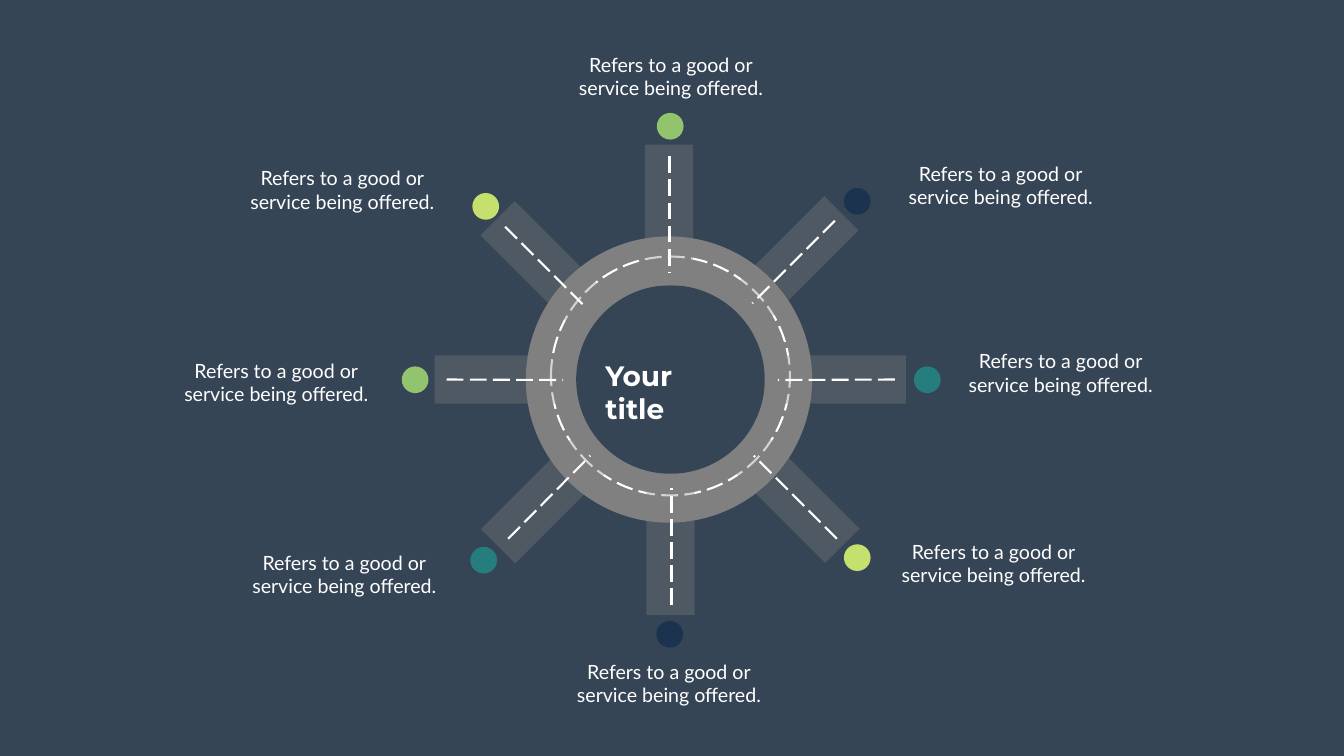
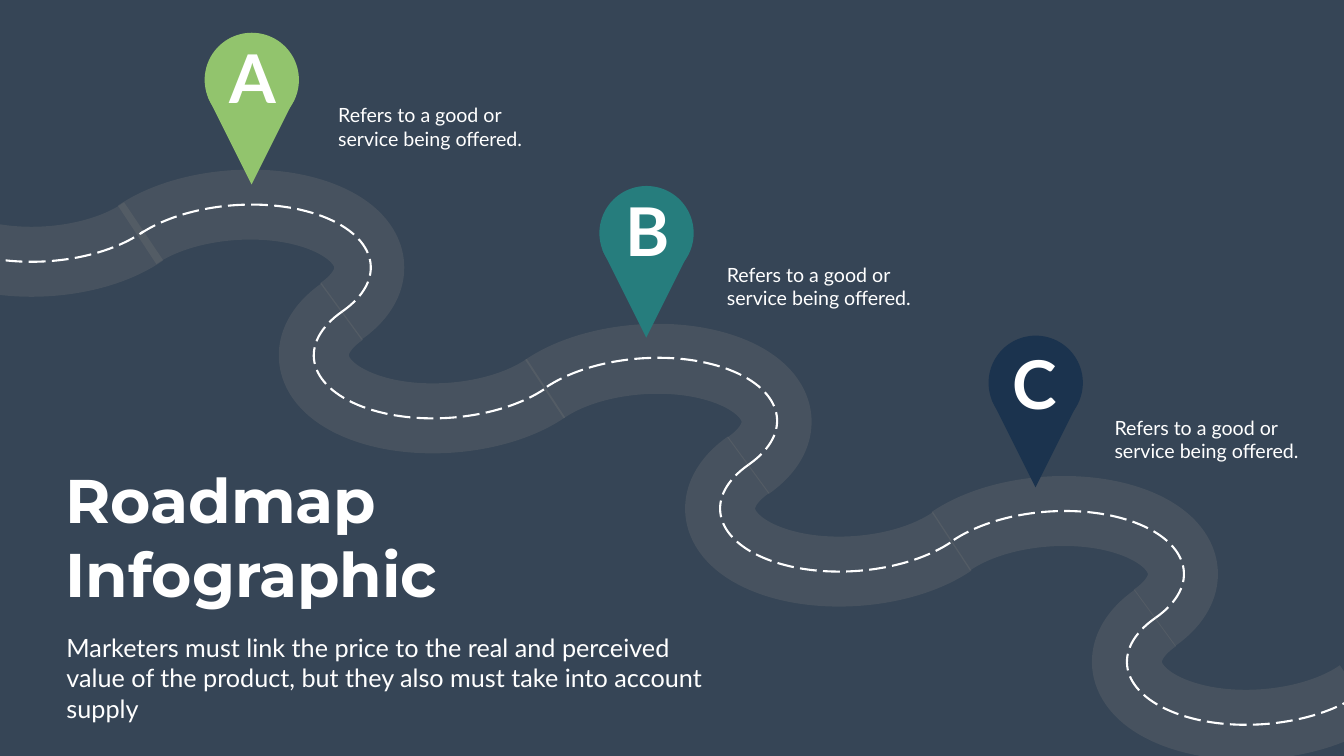
"""Build two road-themed infographic slides: a roundabout and a winding roadmap."""
from math import cos, radians, sin

from lxml import etree
from pptx import Presentation
from pptx.dml.color import RGBColor
from pptx.enum.dml import MSO_LINE
from pptx.enum.shapes import MSO_CONNECTOR, MSO_SHAPE
from pptx.enum.text import MSO_ANCHOR, MSO_AUTO_SIZE, PP_ALIGN
from pptx.oxml.ns import qn
from pptx.util import Inches, Pt

OVAL = MSO_SHAPE.OVAL
STRAIGHT = MSO_CONNECTOR.STRAIGHT
LONG_DASH = MSO_LINE.LONG_DASH
LEFT, CENTER = PP_ALIGN.LEFT, PP_ALIGN.CENTER
TOP = MSO_ANCHOR.TOP
FIT_SHAPE, NO_FIT = MSO_AUTO_SIZE.SHAPE_TO_FIT_TEXT, MSO_AUTO_SIZE.NONE

SLATE = RGBColor(0x36, 0x45, 0x56)
ASPHALT = RGBColor(0x80, 0x80, 0x80)
ROAD_GREY = RGBColor(0x79, 0x79, 0x79)
WHITE = RGBColor(0xFF, 0xFF, 0xFF)
GREEN = RGBColor(0x92, 0xC4, 0x6D)
NAVY = RGBColor(0x1B, 0x33, 0x4E)
TEAL = RGBColor(0x26, 0x7D, 0x7D)
LIME = RGBColor(0xC6, 0xE0, 0x6E)

TITLE_FONT = {"name": "Montserrat", "bold": True}
BODY_FONT = {"name": "Lato", "bold": False}
LETTER_FONT = {"name": "Lato", "bold": True}
LANE = {"width": Pt(3), "dash_style": LONG_DASH}
ROAD = {"width": Pt(100)}
CAPTION = ["Refers to a good or", "service being offered."]

BAR_LENGTH, BAR_WIDTH = 2.8, 0.96
DOT = 0.53
SPOKES = [
    ((13.27, 4.27), (13.28, 3.1, 13.28, 5.41), (13.03, 2.24), GREEN, (11.21, 1)),
    ((15.7, 5.22), (16.56, 4.38, 14.92, 6.02), (16.74, 3.73), NAVY, (17.75, 3.16)),
    ((16.57, 7.53), (17.75, 7.53, 15.43, 7.54), (18.13, 7.27), TEAL, (18.94, 6.88)),
    ((15.72, 9.84), (16.6, 10.69, 14.95, 9.04), (16.74, 10.8), LIME, (17.61, 10.66)),
    ((13.3, 10.8), (13.32, 12.01, 13.32, 9.68), (13.02, 12.32), NAVY, (11.17, 13.04)),
    ((10.87, 9.85), (10.08, 10.69, 11.71, 9.04), (9.33, 10.85), TEAL, (4.73, 10.88)),
    ((10.02, 7.53), (8.86, 7.53, 11.17, 7.54), (7.97, 7.27), GREEN, (3.38, 7.07)),
    ((10.86, 5.32), (10.02, 4.5, 11.59, 6.07), (9.37, 3.83), LIME, (4.69, 3.25)),
]

BEND = [(0, 0), (0.89, -0.62), (0.71, -1.47), (-0.4, -1.89),
        (-1.51, -2.31), (-3.14, -2.14), (-4.04, -1.52)]
LEAD_IN = [(-0.78, 4.96), (0.33, 5.38), (1.96, 5.22), (2.85, 4.59)]
JOINTS = [(6.79, 6.18), (14.85, 9.22), (22.92, 12.26)]
ROAD_CRESTS = [(6.76, 6.18), (14.84, 9.24), (22.9, 12.26)]
PINS = [
    ("A", (4.06, 0.65), GREEN, (4.46, 0.68, 1.14), (6.61, 2)),
    ("B", (11.89, 3.69), TEAL, (12.31, 3.7, 1.09), (14.32, 5.16)),
    ("C", (19.61, 6.66), NAVY, (19.99, 6.75, 1.09), (22.01, 8.2)),
]


def set_values(target, values):
    """Set each named attribute on the target."""
    for name, value in values.items():
        setattr(target, name, value)


def inches(values):
    """Convert a sequence of numbers to lengths."""
    return [Inches(value) for value in values]


class Deck:
    """Holds the shared style, the presentation and the current slide."""

    def __init__(self):
        """Start an empty wide presentation."""
        self.deck = Presentation()
        set_values(self.deck, {"slide_width": Inches(26.66), "slide_height": Inches(15)})

    def slide(self):
        """Add a slide with the slate background."""
        self.page = self.deck.slides.add_slide(self.deck.slide_layouts[5])
        self.paint(self.page.background.fill, SLATE)

    def paint(self, fill, color):
        """Give a fill one colour."""
        fill.solid()
        fill.fore_color.rgb = color

    def fade(self, shape, opacity):
        """Make the colours of a shape see-through."""
        for tint in shape.element.iter(qn("a:srgbClr")):
            etree.SubElement(tint, qn("a:alpha"), val=str(opacity * 1000))

    def filled(self, shape, color):
        """Fill a shape and leave off its outline and shadow."""
        shape.shadow.inherit = False
        self.paint(shape.fill, color)
        shape.line.fill.background()

    def outlined(self, shape, color, style):
        """Outline a shape and leave it hollow."""
        shape.shadow.inherit = False
        shape.fill.background()
        self.paint(shape.line.fill, color)
        set_values(shape.line, style)

    def circle(self, left, top, size):
        """Add a circle from its corner and diameter."""
        return self.page.shapes.add_shape(OVAL, *inches((left, top, size, size)))

    def outline(self, shapes, points, close):
        """Add a freeform through the points."""
        start, *rest = [inches(point) for point in points]
        builder = shapes.build_freeform(*start)
        builder.add_line_segments(rest, close=close)
        return builder.convert_to_shape()

    def polygon(self, points, color, opacity=100):
        """Add a filled polygon."""
        shape = self.outline(self.page.shapes, points, True)
        self.filled(shape, color)
        self.fade(shape, opacity)

    def curve(self, shapes, points):
        """Add an open curve; every three points after the first make one arc."""
        shape = self.outline(shapes, points, False)
        segments = list(shape.element.iter(qn("a:lnTo")))
        for arc, *others in zip(segments[::3], segments[1::3], segments[2::3]):
            arc.tag = qn("a:cubicBezTo")
            for other in others:
                arc.append(other[0])
                other.getparent().remove(other)
        return shape

    def road(self, crests, color, style, opacity=100):
        """Add a group of bends that form one winding line."""
        group = self.page.shapes.add_group_shape()
        bends = [LEAD_IN]
        for joints, sign in ((crests, 1), (JOINTS, -1)):
            bends += [[(x + sign * dx, y + sign * dy) for dx, dy in BEND]
                      for x, y in joints]
        for bend in bends:
            shape = self.curve(group.shapes, bend)
            self.outlined(shape, color, style)
            self.fade(shape, opacity)

    def lane(self, ends):
        """Add a straight dashed lane mark."""
        mark = self.page.shapes.add_connector(STRAIGHT, *inches(ends))
        self.paint(mark.line.fill, WHITE)
        set_values(mark.line, LANE)
        etree.SubElement(mark.element.spPr, qn("a:effectLst"))

    def set_lines(self, frame, lines, size, font, align):
        """Fill a text frame with formatted paragraphs."""
        for index, line in enumerate(lines):
            paragraph = frame.add_paragraph() if index else frame.paragraphs[0]
            paragraph.text = line
            paragraph.alignment = align
            set_values(paragraph.font, {**font, "size": Pt(size)})
            paragraph.font.color.rgb = WHITE

    def text(self, box, lines, size=28, font=BODY_FONT, align=LEFT, wrap=True):
        """Add a text box."""
        frame = self.page.shapes.add_textbox(*inches(box)).text_frame
        set_values(frame, {"word_wrap": wrap, "auto_size": FIT_SHAPE})
        self.set_lines(frame, lines, size, font, align)

    def caption(self, corner, align=LEFT):
        """Add the standard two-line caption."""
        self.text((*corner, 4.2, 1.04), CAPTION, align=align)

    def title(self, box, lines, size, frame_style):
        """Move the title placeholder to the front and fill it."""
        title = self.page.shapes.title
        title.element.getparent().append(title.element)
        set_values(title, dict(zip(("left", "top", "width", "height"), inches(box))))
        set_values(title.text_frame,
                   {"auto_size": NO_FIT, "vertical_anchor": TOP, **frame_style})
        self.set_lines(title.text_frame, lines, size, TITLE_FONT, LEFT)


def bar_corners(center, angle):
    """Return the corners of a bar turned clockwise from upright."""
    x, y = center
    c, s = cos(radians(angle)), sin(radians(angle))
    w, h = BAR_WIDTH / 2, BAR_LENGTH / 2
    return [(x + a * c - b * s, y + a * s + b * c)
            for a, b in ((w, h), (-w, h), (-w, -h), (w, -h))]


def roundabout(deck):
    """Build the roundabout with eight exits."""
    deck.slide()
    deck.filled(deck.circle(10.43, 4.69, 5.68), ASPHALT)
    deck.outlined(deck.circle(10.93, 5.09, 4.74), WHITE, LANE)
    deck.filled(deck.circle(11.43, 5.66, 3.74), SLATE)
    for index, (center, lane, dot, color, caption) in enumerate(SPOKES):
        deck.polygon(bar_corners(center, 45 * index), ASPHALT, 34)
        deck.lane(lane)
        deck.filled(deck.circle(*dot, DOT), color)
        deck.caption(caption, CENTER)
    deck.title((11.91, 7.06, 2.83, 0.77), ["Your title"], 40,
               {"word_wrap": True, "margin_right": Inches(0.3)})


def roadmap(deck):
    """Build the winding road with three pins."""
    deck.slide()
    deck.road(ROAD_CRESTS, ROAD_GREY, ROAD, 25)
    deck.road(JOINTS, WHITE, LANE)
    for letter, (x, y), color, (left, top, width), caption in PINS:
        tip = [(x + 1.8, y + 1.27), (x + 0.93, y + 3.01), (x + 0.06, y + 1.27)]
        deck.polygon(tip, color)
        deck.filled(deck.circle(x, y, 1.87), color)
        deck.text((left, top, width, 1.72), [letter], 96, LETTER_FONT, wrap=False)
        deck.caption(caption)
    deck.text((1.22, 12.5, 13.28, 1.31),
              ["Marketers must link the price to the real and perceived value of the "
               "product, but they also must take into account supply"], 36)
    deck.title((1.2, 9.12, 7.58, 3.06), ["Roadmap", "Infographic"], 88,
               {"word_wrap": False})


def main():
    """Build and save the presentation."""
    deck = Deck()
    roundabout(deck)
    roadmap(deck)
    deck.deck.save("out.pptx")


if __name__ == "__main__":
    main()
